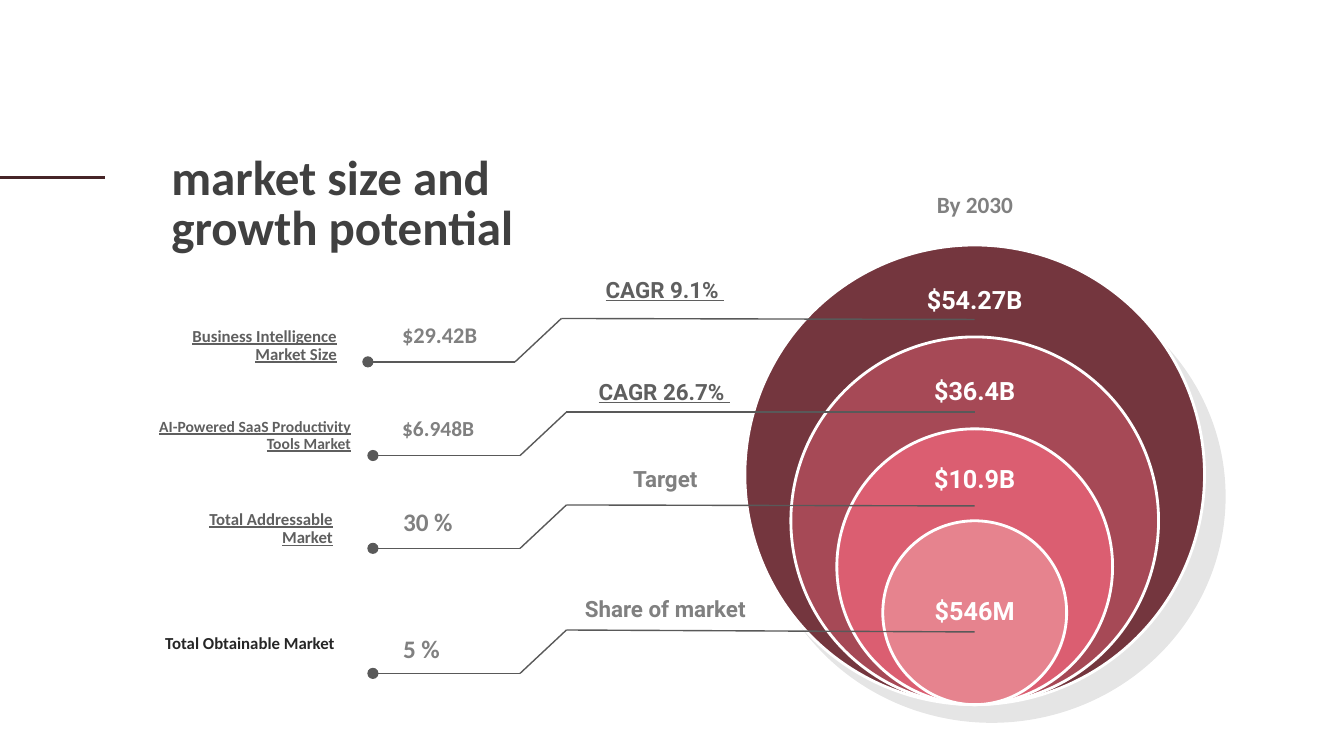
from dataclasses import dataclass
from itertools import pairwise

from lxml import etree
from pptx import Presentation
from pptx.dml.color import RGBColor
from pptx.enum import shapes, text
from pptx.oxml import ns
from pptx.util import Pt

WHITE = RGBColor(0xFF, 0xFF, 0xFF)
BLACK = RGBColor(0x00, 0x00, 0x00)
TITLE_GRAY = RGBColor(0x40, 0x40, 0x40)
LINE_GRAY = RGBColor(0x59, 0x59, 0x59)
LINK_GRAY = RGBColor(0x5F, 0x5F, 0x5F)
VALUE_GRAY = RGBColor(0x80, 0x80, 0x80)
LABEL_DARK = RGBColor(0x26, 0x26, 0x26)
ACCENT = RGBColor(0x46, 0x24, 0x27)
RING_COLORS = [RGBColor(0x74, 0x36, 0x3E), RGBColor(0xA6, 0x49, 0x56),
               RGBColor(0xDB, 0x5E, 0x71), RGBColor(0xE6, 0x83, 0x8E)]
BODY, DISPLAY = "Calibri", "Roboto"
LEFT, CENTER, RIGHT = text.PP_ALIGN.LEFT, text.PP_ALIGN.CENTER, text.PP_ALIGN.RIGHT

RINGS_CENTER = 696.24
RINGS_TOP = 175
RINGS_DIAMETER = 328.3


@dataclass
class Label:
    """Words with a box given as left, top and width."""
    words: str
    box: tuple
    size: float = 16
    font: str = BODY
    color: RGBColor = VALUE_GRAY
    align: int = LEFT
    underline: bool = False
    spacing: float = 0.9


@dataclass
class MarketRow:
    """One leader line with its three labels; label boxes start at the dot."""
    dot: tuple
    end_drop: float
    market: Label
    value: Label
    growth: Label


def link(words, box, size=12):
    return Label(words, box, size, BODY, LINK_GRAY, RIGHT, True)


def cagr(words, box):
    return Label(words, box, 16, DISPLAY, LINK_GRAY, LEFT, True)


def note(words, box):
    return Label(words, box, 16, DISPLAY, VALUE_GRAY, CENTER)


ROWS = [
    MarketRow((262.8, 258.5), 0.7,
              link("Business Intelligence Market Size", (-160.5, -28.1, 145.4)),
              Label("$29.42B", (17.3, -30.3, 70.6)),
              cagr("CAGR 9.1% ", (162.7, -62.7, 109.4))),
    MarketRow((266.4, 325.4), 0,
              link("AI-Powered SaaS Productivity Tools Market", (-164.2, -29.5, 155.5), 11.1),
              Label("$6.948B", (13.7, -28.8, 69.8), 15.3, spacing=0.8),
              cagr("CAGR 26.7% ", (154.1, -56.8, 109.4))),
    MarketRow((266.4, 391.7), 0.7,
              link("Total Addressable Market", (-162.7, -30.3, 141.1)),
              Label("30 %", (14.4, -31, 70.6), 18),
              note("Target", (130.3, -60.5, 157))),
    MarketRow((266.4, 481), 1.4,
              Label("Total Obtainable Market", (-161.3, -31, 141.1), 12, BODY, LABEL_DARK, RIGHT),
              Label("5 %", (14.4, -29.6, 70.6), 18),
              note("Share of market", (130.3, -57.6, 157))),
]


def add_label(parent, label, origin=(0, 0), height=28.8, anchor=text.MSO_ANCHOR.TOP):
    left, top, width = label.box
    box = parent.shapes.add_textbox(Pt(origin[0] + left), Pt(origin[1] + top),
                                    Pt(width), Pt(height))
    frame = box.text_frame
    frame.word_wrap = True
    frame.vertical_anchor = anchor
    paragraph = frame.paragraphs[0]
    paragraph.text = label.words
    paragraph.alignment = label.align
    paragraph.line_spacing = label.spacing
    font = paragraph.font
    font.name, font.size, font.bold = label.font, Pt(label.size), True
    font.color.rgb = label.color
    if label.underline:
        font.underline = True
    return frame


def add_line(parent, start, end, color, width):
    line = parent.shapes.add_connector(shapes.MSO_CONNECTOR.STRAIGHT,
                                       *map(Pt, (*start, *end)))
    line.line.color.rgb = color
    line.line.width = Pt(width)
    etree.SubElement(line._element.spPr, ns.qn("a:effectLst"))


def add_ellipse(parent, left, top, width, height, fill, line=None, line_width=0):
    ellipse = parent.shapes.add_shape(shapes.MSO_SHAPE.OVAL,
                                      *map(Pt, (left, top, width, height)))
    ellipse.shadow.inherit = False
    ellipse.fill.solid()
    ellipse.fill.fore_color.rgb = fill
    if line is None:
        ellipse.line.fill.background()
    else:
        ellipse.line.color.rgb = line
        ellipse.line.width = Pt(line_width)
    return ellipse


def add_title(slide, left, top, width, height):
    add_line(slide, (0, 126.7), (74.9, 126.7), ACCENT, 2.5)
    title = Label("market size and growth potential", (left, top, width), 35,
                  color=TITLE_GRAY, spacing=Pt(36))
    frame = add_label(slide, title, height=height, anchor=text.MSO_ANCHOR.MIDDLE)
    frame.margin_left = frame.margin_right = Pt(3.6)


def add_ring_shadow(slide, left, top, width, height):
    shadow = add_ellipse(slide, left, top, width, height, BLACK)
    color = shadow._element.spPr.find(".//" + ns.qn("a:srgbClr"))
    etree.SubElement(color, ns.qn("a:alpha"), val="10000")


def add_rings(slide, center, top, diameter):
    """Nested circles sharing one bottom point, each a fifth smaller than the outermost."""
    group = slide.shapes.add_group_shape()
    values = [("$54.27B", 40.3), ("$36.4B", 105.1), ("$10.9B", 168.4), ("$546M", 262.4)]
    for index, ((value, middle), color) in enumerate(zip(values, RING_COLORS)):
        size = diameter * (5 - index) / 5
        add_ellipse(group, center - size / 2, top + diameter - size, size, size,
                    color, WHITE, 2)
        label = Label(value, (center - 46, top + middle - 24, 92), 18, DISPLAY, WHITE, CENTER)
        add_label(group, label, height=48, anchor=text.MSO_ANCHOR.MIDDLE)


def add_leader(slide, row, end_x):
    group = slide.shapes.add_group_shape()
    x, y = row.dot
    points = [(x, y), (x + 105.1, y), (x + 138.2, y - 31), (end_x, y - 31 + row.end_drop)]
    for start, end in pairwise(points):
        add_line(group, start, end, LINE_GRAY, 1)
    add_ellipse(group, x - 3.6, y - 3.6, 7.2, 7.2, LINE_GRAY, LINE_GRAY, 0.75)


def add_market_row(slide, row):
    add_leader(slide, row, RINGS_CENTER)
    for label in (row.market, row.value, row.growth):
        add_label(slide, label, row.dot)


def main():
    presentation = Presentation()
    presentation.slide_width, presentation.slide_height = Pt(960), Pt(540)
    slide = presentation.slides.add_slide(presentation.slide_layouts[6])
    add_ring_shadow(slide, 541.4, 193, 334.1, 323.3)
    add_title(slide, 118.8, 106.6, 301.7, 79.9)
    add_rings(slide, RINGS_CENTER, RINGS_TOP, RINGS_DIAMETER)
    for row in ROWS:
        add_market_row(slide, row)
    add_label(slide, Label("By 2030", (661, 134.6, 70.6), 16.6, align=CENTER))
    presentation.save("out.pptx")


if __name__ == "__main__":
    main()
